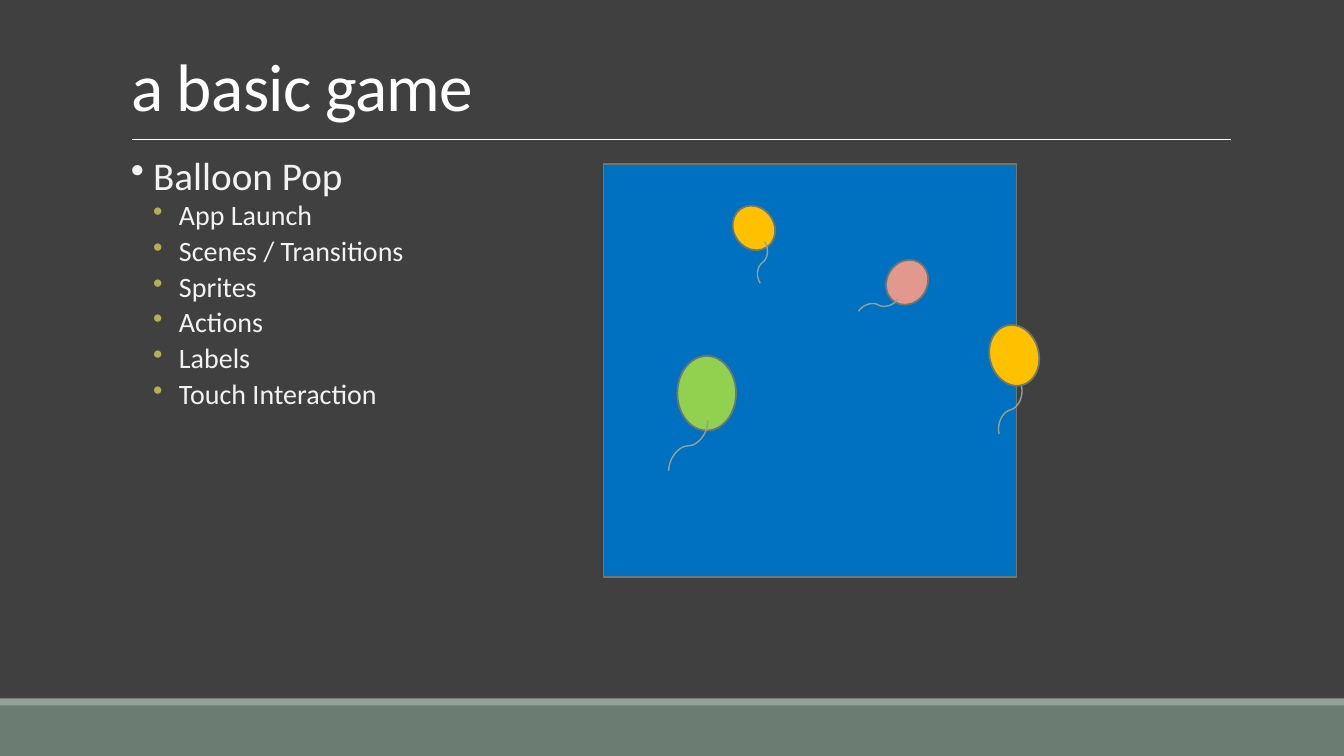
from dataclasses import dataclass

import pptx
import pptx.dml.color
import pptx.enum.shapes
import pptx.enum.text
import pptx.oxml.ns
import pptx.util
from lxml import etree

Cm, Pt = pptx.util.Cm, pptx.util.Pt
RGB = pptx.dml.color.RGBColor.from_string
SHAPE = pptx.enum.shapes.MSO_SHAPE
CONNECTOR = pptx.enum.shapes.MSO_CONNECTOR
qn = pptx.oxml.ns.qn


@dataclass(frozen=True)
class Theme:
    font: str = "Calibri"
    background: str = "404040"
    footer: str = "6B7D72"
    accent: str = "93A299"
    title: str = "FFFFFF"
    body: str = "F2F2F2"
    bullet: str = "B5AE53"
    sky: str = "0070C0"
    outline: str = "6D7871"
    green: str = "92D050"
    yellow: str = "FFC000"
    pink: str = "E2988C"
    title_size: int = 48
    topic_size: int = 28
    item_size: int = 20


theme = Theme()


def add_filled(shapes, kind, box, fill, outline=None):
    """Add a shadowless shape; box is left, top, width, height in cm."""
    shape = shapes.add_shape(kind, *map(Cm, box))
    shape.shadow.inherit = False
    shape.fill.solid()
    shape.fill.fore_color.rgb = RGB(fill)
    if outline:
        shape.line.color.rgb = RGB(outline)
        shape.line.width = Pt(1.25)
    else:
        shape.line.fill.background()
    return shape


def add_stroke(shapes, kind, box, color, width):
    """Add a shadowless connector across box, given in cm."""
    left, top, across, down = box
    stroke = shapes.add_connector(
        kind, Cm(left), Cm(top), Cm(left + across), Cm(top + down))
    stroke.line.color.rgb = RGB(color)
    stroke.line.width = Pt(width)
    etree.SubElement(stroke._element.spPr, qn("a:effectLst"))
    return stroke


deck = pptx.Presentation()
deck.slide_width, deck.slide_height = Cm(33.87), Cm(19.05)
slide = deck.slides.add_slide(deck.slide_layouts[5])
slide.background.fill.solid()
slide.background.fill.fore_color.rgb = RGB(theme.background)

# Footer bands and title rule
add_filled(slide.shapes, SHAPE.RECTANGLE, (0, 17.78, 33.87, 1.27), theme.footer)
add_filled(slide.shapes, SHAPE.RECTANGLE, (0, 17.6, 33.87, 0.18), theme.accent)
add_stroke(slide.shapes, CONNECTOR.STRAIGHT, (3.33, 3.51, 27.68, 0), theme.title, 0.5)

# Title
title = slide.shapes.title
title.left, title.top, title.width, title.height = map(Cm, (3.05, 0.79, 27.94, 2.49))
title.text_frame.vertical_anchor = pptx.enum.text.MSO_ANCHOR.BOTTOM
title.text_frame.auto_size = pptx.enum.text.MSO_AUTO_SIZE.NONE
heading = title.text_frame.paragraphs[0]
heading.alignment = pptx.enum.text.PP_ALIGN.LEFT
heading.line_spacing = 0.85
heading_run = heading.add_run()
heading_run.text = "a basic game"
heading_run.font.name = theme.font
heading_run.font.size = Pt(theme.title_size)
heading_run.font.color.rgb = RGB(theme.title)
heading_run.font._element.set("spc", "-50")

# Topic list
topics = slide.shapes.add_textbox(*map(Cm, (3.3, 3.81, 9.73, 13.49))).text_frame
topics.word_wrap = True
topics.margin_left = topics.margin_right = 0
for index, (level, wording) in enumerate([
    (0, "Balloon Pop"),
    (1, "App Launch"),
    (1, "Scenes / Transitions"),
    (1, "Sprites"),
    (1, "Actions"),
    (1, "Labels"),
    (1, "Touch Interaction"),
]):
    topic = topics.add_paragraph() if index else topics.paragraphs[0]
    topic.level = level
    topic.line_spacing = 0.9
    topic.space_after = Pt(4 if level else 2)
    margin, hanging = (1.21, 0.65) if level else (0.56, 0.56)
    properties = topic._p.get_or_add_pPr()
    properties.set("marL", str(Cm(margin)))
    properties.set("indent", str(-Cm(hanging)))
    if level:
        bullet_color = etree.SubElement(properties, qn("a:buClr"))
        etree.SubElement(bullet_color, qn("a:srgbClr"), val=theme.bullet)
    etree.SubElement(properties, qn("a:buChar"), char="•")
    run = topic.add_run()
    run.text = wording
    run.font.name = theme.font
    run.font.size = Pt(theme.item_size if level else theme.topic_size)
    run.font.color.rgb = RGB(theme.body)

# Game scene: each balloon with its tilt, then its string with its turn
scene = slide.shapes.add_group_shape().shapes
add_filled(scene, SHAPE.RECTANGLE, (15.21, 4.14, 10.41, 10.41), theme.sky, theme.outline)
for color, balloon_box, tilt, string_box, turn in [
    (theme.green, (17.07, 8.97, 1.48, 1.88), 0, (16.71, 10.74, 1.27, 0.99), 90),
    (theme.yellow, (24.94, 8.18, 1.24, 1.55), 345.8, (24.94, 9.91, 1.04, 0.84), 76),
    (theme.yellow, (18.49, 5.16, 1.02, 1.17), 325.4, (18.82, 6.27, 0.79, 0.69), 55),
    (theme.pink, (22.35, 6.53, 1.02, 1.17), 30.9, (21.74, 7.34, 0.79, 0.69), 121),
]:
    balloon = add_filled(scene, SHAPE.OVAL, balloon_box, color, theme.outline)
    balloon.rotation = tilt
    string = add_stroke(scene, CONNECTOR.CURVE, string_box, theme.accent, 1)
    string._element.spPr.find(qn("a:xfrm")).set("rot", str(turn * 60000))

deck.save("out.pptx")
